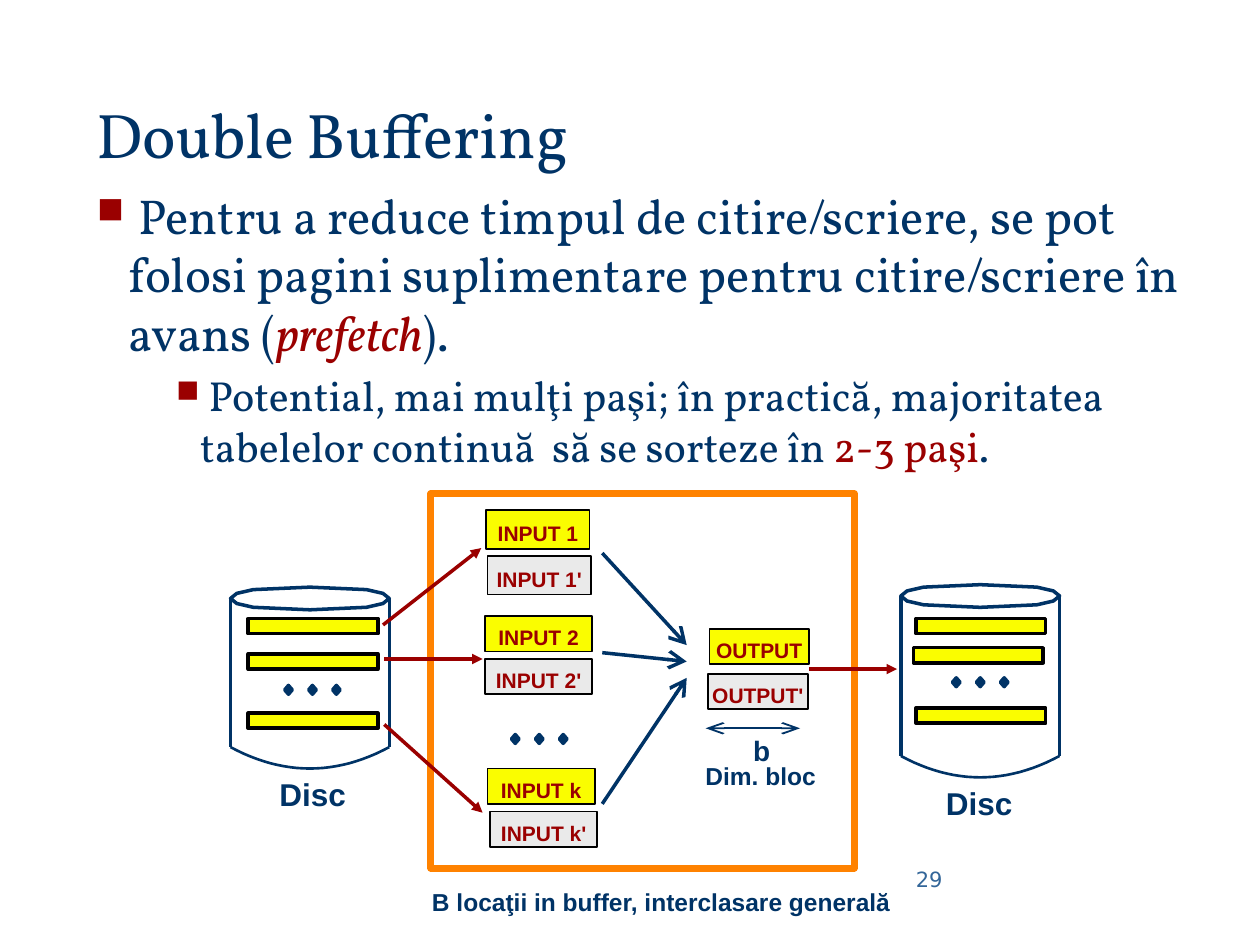
from dataclasses import dataclass

from lxml import etree
from pptx import Presentation
from pptx.dml.color import RGBColor
from pptx.enum.shapes import MSO_CONNECTOR, MSO_SHAPE
from pptx.enum.text import MSO_ANCHOR, PP_ALIGN
from pptx.oxml.ns import qn
from pptx.util import Inches, Pt

STRAIGHT = MSO_CONNECTOR.STRAIGHT
BOX = MSO_SHAPE.RECTANGLE
DOT = MSO_SHAPE.DIAMOND
CENTER = PP_ALIGN.CENTER
MIDDLE, TOP, BOTTOM = MSO_ANCHOR.MIDDLE, MSO_ANCHOR.TOP, MSO_ANCHOR.BOTTOM


@dataclass(frozen=True)
class Theme:
    navy: str = "003366"
    red: str = "9A0000"
    yellow: str = "FAFD00"
    gray: str = "EAEAEA"
    orange: str = "FF8200"
    black: str = "000000"
    steel: str = "336699"
    serif: str = "Vollkorn"
    sans: str = "Arial"
    digit: str = "DejaVu Sans"
    title: int = 36
    body: int = 28
    point: int = 24
    disc: int = 18
    size: int = 16
    note: int = 14
    small: int = 12


THEME = Theme()


def color(code):
    return RGBColor.from_string(code)


def style(run, font, size, code, bold=False, slant=False):
    run.font.name = font
    run.font.size = Pt(size)
    run.font.color.rgb = color(code)
    run.font.bold = bold
    run.font.italic = slant


def add_text(slide, place, text, font, size, code, bold=False, wrap=False, anchor=TOP):
    box = slide.shapes.add_textbox(*map(Inches, place))
    frame = box.text_frame
    frame.word_wrap = wrap
    frame.vertical_anchor = anchor
    frame.text = text
    style(frame.paragraphs[0].runs[0], font, size, code, bold)


def add_bullet(para, parts, size, left, hang, level):
    para.level = level
    para.space_before = Pt(size * 0.2)
    props = para._p.get_or_add_pPr()
    props.set("marL", str(Inches(left)))
    props.set("indent", str(Inches(-hang)))
    tint = etree.SubElement(props, qn("a:buClr"))
    etree.SubElement(tint, qn("a:srgbClr"), val=THEME.red)
    etree.SubElement(props, qn("a:buSzPct"), val="75000")
    etree.SubElement(props, qn("a:buChar"), char="■")
    for text, code, slant in parts:
        run = para.add_run()
        run.text = text
        style(run, THEME.serif, size, code, slant=slant)


def add_body(slide):
    box = slide.shapes.add_textbox(*map(Inches, (0.67, 1.42, 9.25, 5.5)))
    frame = box.text_frame
    frame.word_wrap = True
    add_bullet(frame.paragraphs[0], [
        (" Pentru a reduce timpul de citire/scriere, se pot folosi pagini "
         "suplimentare pentru citire/scriere în avans (", THEME.navy, False),
        ("prefetch", THEME.red, True),
        (").", THEME.navy, False),
    ], THEME.body, 0.25, 0.25, 0)
    add_bullet(frame.add_paragraph(), [
        (" Potential, mai mulţi paşi; în practică, majoritatea tabelelor "
         "continuă  să se sorteze în ", THEME.navy, False),
        ("2-3 paşi", THEME.red, False),
        (".", THEME.navy, False),
    ], THEME.point, 0.82, 0.19, 1)


def paint(shape, fill, line, width):
    shape.shadow.inherit = False
    if fill:
        shape.fill.solid()
        shape.fill.fore_color.rgb = color(fill)
    else:
        shape.fill.background()
    shape.line.color.rgb = color(line)
    shape.line.width = Pt(width)


def add_box(slide, place, fill, line, width, kind=BOX):
    shape = slide.shapes.add_shape(kind, *map(Inches, place))
    paint(shape, fill, line, width)
    return shape


def add_page(slide, place, text, fill):
    frame = add_box(slide, place, fill, THEME.black, 1).text_frame
    frame.margin_left = frame.margin_right = frame.margin_bottom = 0
    frame.margin_top = Inches(0.06)
    frame.vertical_anchor = MIDDLE
    frame.word_wrap = False
    frame.text = text
    frame.paragraphs[0].alignment = CENTER
    style(frame.paragraphs[0].runs[0], THEME.sans, THEME.small, THEME.red, True)


def add_pair(slide, left, top, step, shift, size, text):
    add_page(slide, (left, top, *size), text, THEME.yellow)
    add_page(slide, (left + shift, top + step, *size), text + "'", THEME.gray)


def add_line(slide, start, end, code, width, **ends):
    line = slide.shapes.add_connector(STRAIGHT, *map(Inches, (*start, *end)))
    line.line.color.rgb = color(code)
    line.line.width = Pt(width)
    for tag, (kind, wide, long) in ends.items():
        etree.SubElement(line.line._get_or_add_ln(), qn(f"a:{tag}"),
                         type=kind, w=wide, len=long)
    etree.SubElement(line._element.spPr, qn("a:effectLst"))


def add_path(slide, points, width, close):
    spots = [(Inches(x), Inches(y)) for x, y in points]
    maker = slide.shapes.build_freeform(*spots[0])
    maker.add_line_segments(spots[1:], close=close)
    paint(maker.convert_to_shape(), None, THEME.navy, width)


def add_dots(slide, left, top):
    for i in range(3):
        add_box(slide, (left + i * 0.19, top, 0.06, 0.07),
                THEME.navy, THEME.navy, 2, DOT)


def add_disc(slide, left, top, base, slabs, dots, label):
    half = 0.63
    mid = left + half
    rim = [(half, 0), (0.58, 0.04), (0.45, 0.07), (0, 0.09)]
    arch = rim + [(-x, y) for x, y in rim[-2::-1]]
    lid = arch + [(-x, -y) for x, y in arch[1:-1]]
    add_path(slide, [(mid + x, top - y) for x, y in lid], 2, True)
    for side in (left, left + 2 * half):
        add_line(slide, (side, top), (side, base), THEME.navy, 2)
    steps = [i / 12 for i in range(-12, 13)]
    add_path(slide, [(mid + half * t, base + 0.17 * (1 - t * t)) for t in steps],
             1.5, False)
    for x, y in slabs:
        add_box(slide, (x, y, 1.03, 0.12), THEME.yellow, THEME.black, 2)
    add_dots(slide, *dots)
    add_text(slide, (*label, 0.73, 0.4), "Disc", THEME.sans, THEME.disc,
             THEME.navy, True)


def add_flow(slide):
    tip = ("triangle", "med", "med")
    wide = ("arrow", "lg", "lg")
    slim = ("arrow", "med", "lg")
    for start, end in [((3.04, 4.96), (3.82, 4.35)), ((3.05, 5.23), (3.83, 5.23)),
                       ((3.05, 5.75), (3.83, 6.45)), ((6.42, 5.31), (7.12, 5.31))]:
        add_line(slide, start, end, THEME.red, 2, tailEnd=tip)
    for top, end in [(4.39, 5.12), (5.18, 5.25), (6.38, 5.38)]:
        add_line(slide, (4.78, top), (5.45, end), THEME.navy, 2, tailEnd=wide)
    add_line(slide, (5.6, 5.78), (6.35, 5.78), THEME.navy, 1,
             headEnd=slim, tailEnd=slim)


def main():
    deck = Presentation()
    deck.slide_width, deck.slide_height = Inches(10), Inches(7.5)
    slide = deck.slides.add_slide(deck.slide_layouts[6])
    add_text(slide, (7.17, 6.83, 2.08, 0.5), "29", THEME.digit, THEME.small,
             THEME.steel, wrap=True)
    add_text(slide, (0.67, 0.58, 9.33, 0.83), "Double Buffering", THEME.serif,
             THEME.title, THEME.navy, wrap=True, anchor=BOTTOM)
    add_body(slide)
    add_box(slide, (3.42, 3.92, 3.36, 2.97), None, THEME.orange, 4)
    add_pair(slide, 3.86, 4.05, 0.36, 0.01, (0.82, 0.31), "INPUT 1")
    add_pair(slide, 3.85, 4.89, 0.34, 0, (0.85, 0.28), "INPUT 2")
    add_pair(slide, 3.87, 6.1, 0.34, 0.02, (0.85, 0.28), "INPUT k")
    add_pair(slide, 5.63, 4.99, 0.36, -0.01, (0.79, 0.28), "OUTPUT")
    add_dots(slide, 4.06, 5.83)
    add_disc(slide, 1.83, 4.75, 5.93, [(1.97, y) for y in (4.91, 5.19, 5.66)],
             (2.26, 5.44), (2.12, 6.1))
    add_disc(slide, 7.15, 4.73, 6, [(7.27, 4.91), (7.25, 5.14), (7.27, 5.62)],
             (7.56, 5.38), (7.41, 6.17))
    add_flow(slide)
    for place, text, size in [
        ((5.88, 5.77, 0.33, 0.36), "b", THEME.size),
        ((5.5, 5.99, 1.08, 0.33), "Dim. bloc", THEME.note),
        ((3.33, 6.99, 3.85, 0.33), "B locaţii in buffer, interclasare generală",
         THEME.note),
    ]:
        add_text(slide, place, text, THEME.sans, size, THEME.navy, True)
    deck.save("out.pptx")


main()
